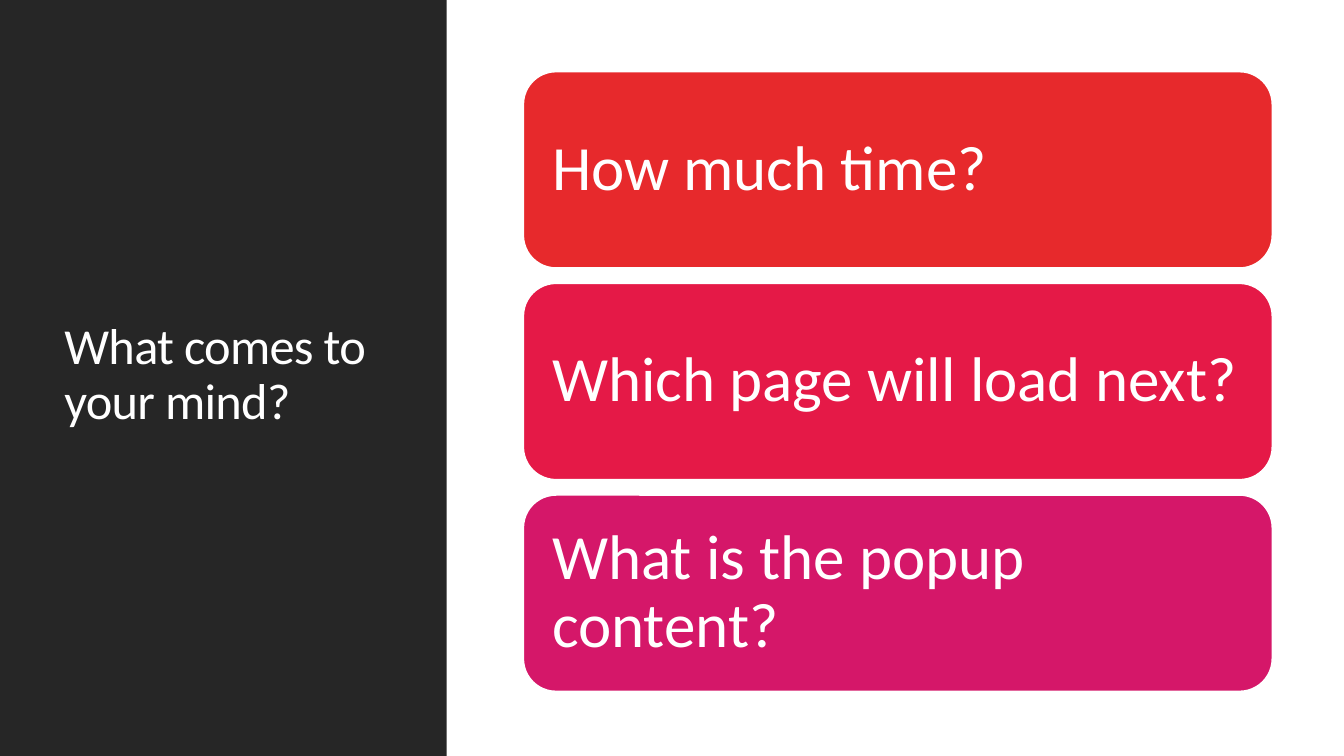
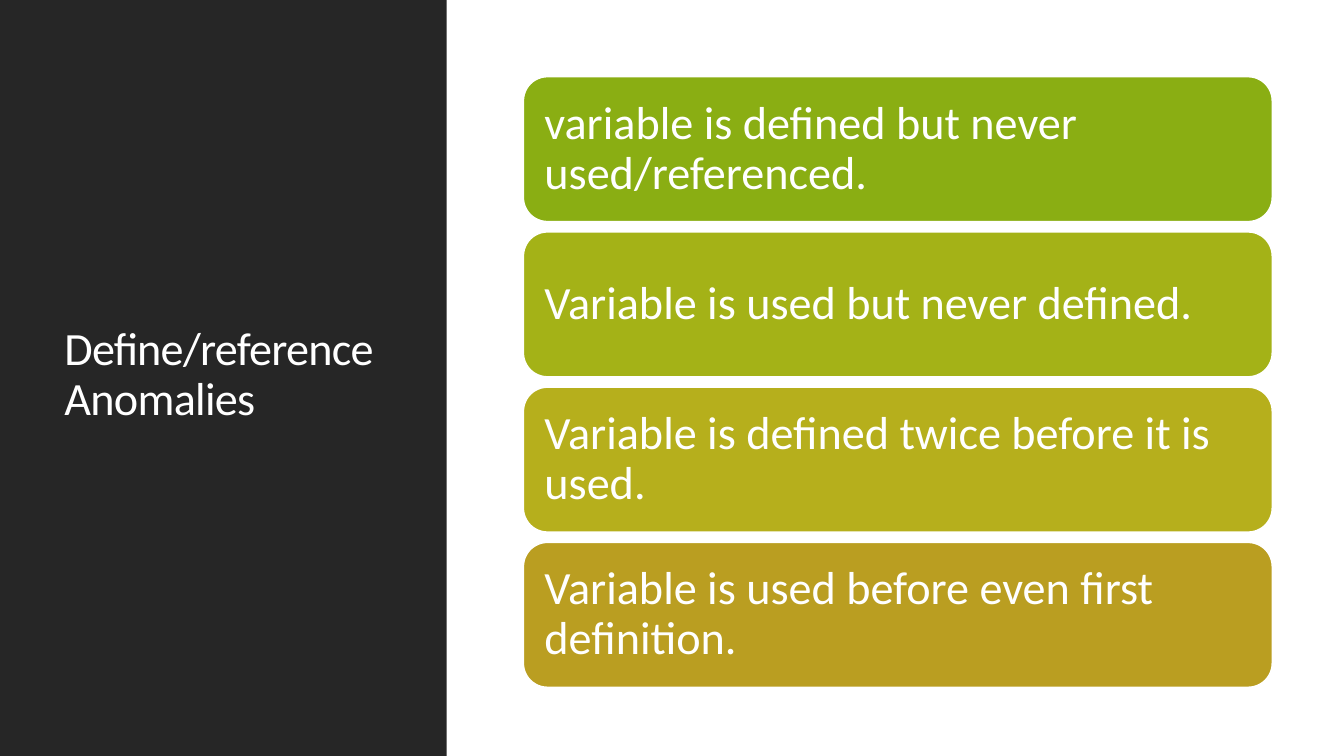
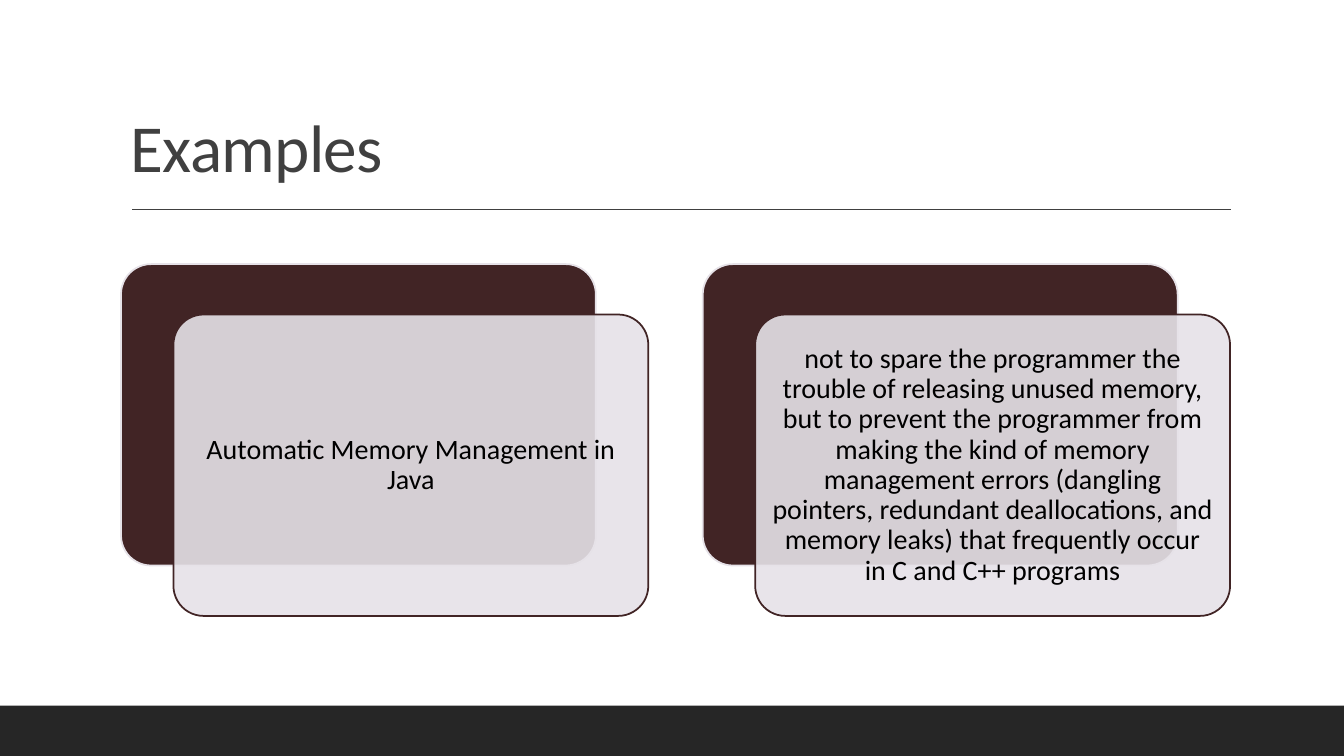
import pptx
import pptx.util
import pptx.dml.color
import pptx.enum.shapes
import pptx.enum.text
from lxml import etree

PX = 9144  # 100 px to the inch
SLIDE_WIDTH, SLIDE_HEIGHT = 1333, 750
FONT = "Calibri"
DARK, WHITE, BLACK, GREY = "262626", "FFFFFF", "000000", "404040"
MAROON, PALE = "412425", "E6E2E8"
CARD_LINE = 1.25

SHAPES = pptx.enum.shapes.MSO_SHAPE
ANCHORS = pptx.enum.text.MSO_ANCHOR
ALIGNS = pptx.enum.text.PP_ALIGN


def px(*lengths):
    return [pptx.util.Emu(round(length * PX)) for length in lengths]


def color(hex_string):
    return pptx.dml.color.RGBColor.from_string(hex_string)


def set_all(target, values):
    for name, value in values.items():
        setattr(target, name, value)


def write(shape, text, size, text_color, inset, anchor=ANCHORS.MIDDLE,
          align=ALIGNS.LEFT, tracking=None):
    inset_x, inset_y = px(*inset)
    set_all(shape.text_frame, {
        "word_wrap": True, "vertical_anchor": anchor,
        "margin_left": inset_x, "margin_right": inset_x,
        "margin_top": inset_y, "margin_bottom": inset_y})
    paragraph = shape.text_frame.paragraphs[0]
    set_all(paragraph, {"alignment": align, "line_spacing": 0.9})
    run = paragraph.add_run()
    run.text = text
    set_all(run.font, {"name": FONT, "size": pptx.util.Pt(size)})
    run.font.color.rgb = color(text_color)
    if tracking is not None:
        run.font._element.set("spc", str(tracking))


def add_block(slide, kind, box, fill, line=None, opacity=None):
    shape = slide.shapes.add_shape(kind, *px(*box))
    shape.shadow.inherit = False
    shape.fill.solid()
    shape.fill.fore_color.rgb = color(fill)
    if opacity is not None:
        fill_color = shape._element.spPr.find(".//" + pptx.oxml.ns.qn("a:srgbClr"))
        alpha = etree.SubElement(fill_color, pptx.oxml.ns.qn("a:alpha"))
        alpha.set("val", str(opacity * 1000))
    if line is None:
        shape.line.fill.background()
    else:
        shape.line.color.rgb = color(line)
        shape.line.width = pptx.util.Pt(CARD_LINE)
    return shape


def add_title(slide, box, text, size, text_color, anchor):
    title = slide.shapes.add_textbox(*px(*box))
    write(title, text, size, text_color, (10, 5), anchor, tracking=-50)


def add_rule(slide, left, top, width):
    rule = slide.shapes.add_connector(
        pptx.enum.shapes.MSO_CONNECTOR.STRAIGHT,
        *px(left, top, left + width, top))
    rule.line.color.rgb = color(GREY)
    rule.line.width = pptx.util.Pt(1)
    etree.SubElement(rule._element.spPr, pptx.oxml.ns.qn("a:effectLst"))


def add_side_panel(slide, box, title, size):
    left, top, width, height = box
    add_block(slide, SHAPES.RECTANGLE, box, DARK)
    add_title(slide, (left + 54, top + 57, width - 106, height - 119),
              title, size, WHITE, ANCHORS.MIDDLE)


def add_card_stack(slide, box, cards, gap, size, inset):
    """Fill the box with equal cards, one under another."""
    left, top, width, height = box
    card_height = (height - gap * (len(cards) - 1)) / len(cards)
    for index, (text, fill) in enumerate(cards):
        card_top = top + index * (card_height + gap)
        card = add_block(slide, SHAPES.ROUNDED_RECTANGLE,
                         (left, card_top, width, card_height), fill, WHITE)
        write(card, text, size, WHITE, (inset, inset))


def add_layered_card(slide, box, text):
    """Place a dark card with a translucent text card shifted over it."""
    left, top, width, height = box
    shift_x, shift_y = 52, 50
    card_size = (width - shift_x, height - shift_y)
    back = add_block(slide, SHAPES.ROUNDED_RECTANGLE,
                     (left, top, *card_size), MAROON, PALE)
    front = add_block(slide, SHAPES.ROUNDED_RECTANGLE,
                      (left + shift_x, top + shift_y, *card_size),
                      PALE, MAROON, opacity=90)
    for card in (back, front):
        card.adjustments[0] = 0.1
    write(front, text, 20, BLACK, (8, 8), align=ALIGNS.CENTER)


def add_layered_row(slide, box, texts, gap):
    left, top, width, height = box
    column_width = (width - gap * (len(texts) - 1)) / len(texts)
    for index, text in enumerate(texts):
        column_left = left + index * (column_width + gap)
        add_layered_card(slide, (column_left, top, column_width, height), text)


def new_slide(presentation):
    return presentation.slides.add_slide(presentation.slide_layouts[6])


def build_panel_slide(presentation, title, title_size, stack_box, **stack):
    slide = new_slide(presentation)
    add_side_panel(slide, (0, 0, 443, SLIDE_HEIGHT), title, title_size)
    add_card_stack(slide, stack_box, **stack)


def build_examples_slide(presentation, title, texts):
    slide = new_slide(presentation)
    add_block(slide, SHAPES.RECTANGLE, (0, 700, SLIDE_WIDTH, 50), DARK)
    add_rule(slide, 131, 208, 1090)
    add_title(slide, (120, 31, 1100, 159), title, 48, GREY, ANCHORS.BOTTOM)
    add_layered_row(slide, (120, 262, 1100, 349), texts, gap=54)


def main():
    presentation = pptx.Presentation()
    width, height = px(SLIDE_WIDTH, SLIDE_HEIGHT)
    set_all(presentation, {"slide_width": width, "slide_height": height})
    build_panel_slide(
        presentation, "What comes to your mind?", 36, (519, 71, 743, 615),
        gap=15, size=45, inset=19,
        cards=[("How much time?", "E7292C"),
               ("Which page will load next?", "E51947"),
               ("What is the popup content?", "D51769")])
    build_panel_slide(
        presentation, "Define/reference Anomalies", 33, (519, 76, 743, 606),
        gap=10, size=33, inset=14,
        cards=[("variable is defined but never used/referenced.", "8AAE13"),
               ("Variable is used but never defined.", "A4B217"),
               ("Variable is defined twice before it is used.", "B6AF1C"),
               ("Variable is used before even first definition.", "BA9E21")])
    build_examples_slide(
        presentation, "Examples",
        ["Automatic Memory Management in Java",
         "not to spare the programmer the trouble of releasing unused memory, "
         "but to prevent the programmer from making the kind of memory "
         "management errors (dangling pointers, redundant deallocations, and "
         "memory leaks) that frequently occur in C and C++ programs"])
    presentation.save("out.pptx")


if __name__ == "__main__":
    main()
